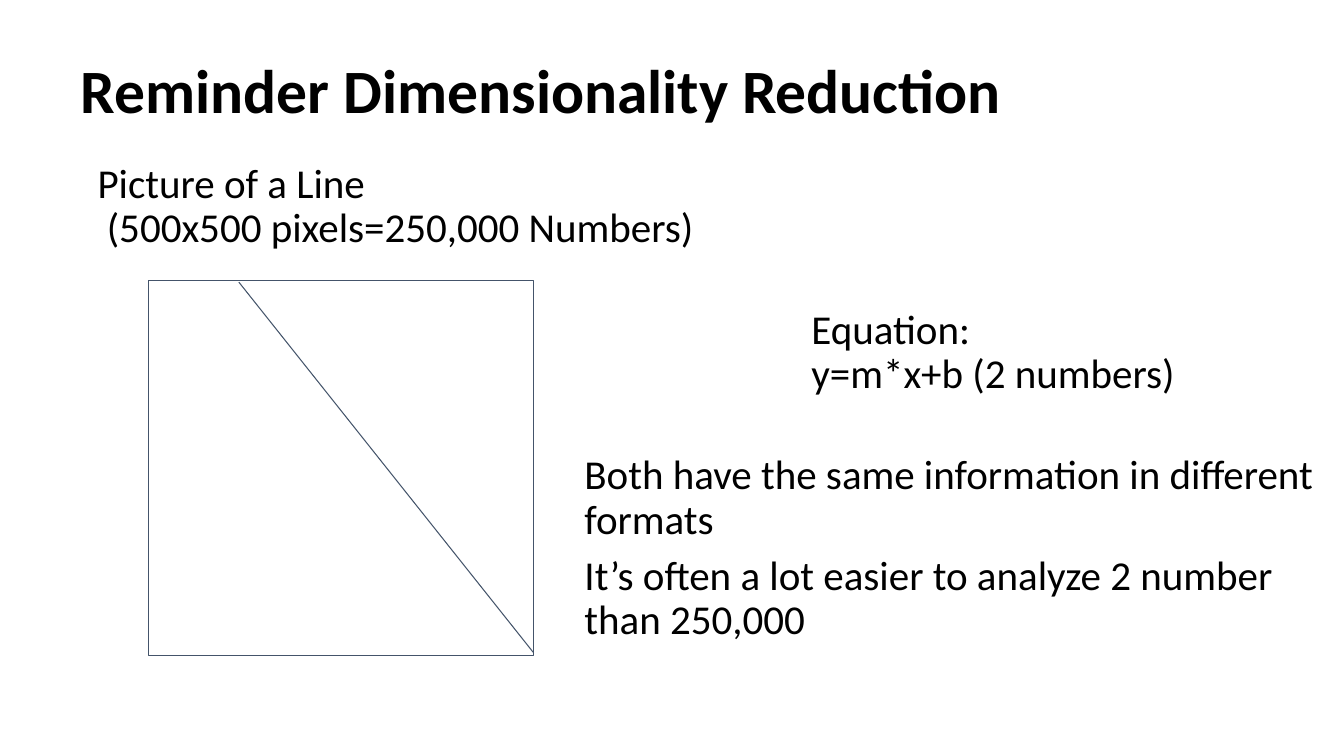
"""Build the slide that recalls dimensionality reduction."""
from dataclasses import dataclass

from lxml import etree
from pptx import Presentation
from pptx.dml.color import RGBColor
from pptx.enum.shapes import MSO_CONNECTOR, MSO_SHAPE
from pptx.enum.text import MSO_ANCHOR
from pptx.oxml.ns import qn
from pptx.util import Cm, Pt

RECT = MSO_SHAPE.RECTANGLE
STRAIGHT = MSO_CONNECTOR.STRAIGHT
TOP = MSO_ANCHOR.TOP
MIDDLE = MSO_ANCHOR.MIDDLE


@dataclass(frozen=True)
class Theme:
    """Hold colours, type sizes and spacing."""
    font: str = "Calibri"
    ink: RGBColor = RGBColor(0, 0, 0)
    paper: RGBColor = RGBColor(255, 255, 255)
    edge: RGBColor = RGBColor(0x44, 0x54, 0x6A)
    title: float = 44
    body: float = 29.3
    gap: float = 8.5
    leading: float = 0.9
    stroke: float = 0.75


class Board:
    """Draw styled elements on one slide."""

    def __init__(self, slide, theme):
        self.slide = slide
        self.theme = theme

    def text(self, words, left, top, width, height, size,
             bold=False, indent=0, anchor=TOP):
        """Add a text box with one paragraph per line of words."""
        theme = self.theme
        box = self.slide.shapes.add_textbox(
            Cm(left), Cm(top), Cm(width), Cm(height))
        frame = box.text_frame
        frame.word_wrap = True
        frame.vertical_anchor = anchor
        frame.margin_left = frame.margin_right = Cm(0.34)
        frame.margin_top = frame.margin_bottom = Cm(0.17)
        frame.text = words
        for index, para in enumerate(frame.paragraphs):
            props = para._p.get_or_add_pPr()
            props.set("marL", str(Cm(indent)))
            props.set("indent", "0")
            para.line_spacing = theme.leading
            para.space_before = Pt(theme.gap if index else 0)
            for run in para.runs:
                run.font.name = theme.font
                run.font.size = Pt(size)
                run.font.bold = bold
                run.font.color.rgb = theme.ink

    def body(self, words, left, top, width, height):
        """Add an indented body text."""
        self.text(words, left, top, width, height, self.theme.body,
                  indent=1.69)

    def outline(self, line):
        """Give a line the edge colour and stroke."""
        line.color.rgb = self.theme.edge
        line.width = Pt(self.theme.stroke)

    def frame(self, left, top, width, height):
        """Add an outlined rectangle."""
        shape = self.slide.shapes.add_shape(
            RECT, Cm(left), Cm(top), Cm(width), Cm(height))
        shape.shadow.inherit = False
        shape.fill.solid()
        shape.fill.fore_color.rgb = self.theme.paper
        self.outline(shape.line)

    def line(self, left, top, right, bottom):
        """Add a straight line."""
        line = self.slide.shapes.add_connector(
            STRAIGHT, Cm(left), Cm(top), Cm(right), Cm(bottom))
        self.outline(line.line)
        etree.SubElement(line._element.spPr, qn("a:effectLst"))


def main():
    """Build and save the slide."""
    deck = Presentation()
    deck.slide_width, deck.slide_height = Cm(33.87), Cm(19.05)
    theme = Theme()
    board = Board(deck.slides.add_slide(deck.slide_layouts[6]), theme)
    board.text("Reminder Dimensionality Reduction", 1.7, 0.76, 30.48, 3.18,
               theme.title, bold=True, anchor=MIDDLE)
    board.body("Picture of a Line\v (500x500 pixels=250,000 Numbers)",
               0.43, 3.94, 20.57, 2.13)
    board.body("Equation:\vy=m*x+b (2 numbers)", 18.42, 7.62, 15.45, 2.9)
    board.body("Both have the same information in different formats\n"
               "It’s often a lot easier to analyze 2 number than 250,000",
               12.7, 11.28, 21.17, 2.9)
    board.frame(3.74, 7.06, 9.7, 9.45)
    board.line(6.02, 7.11, 13.44, 16.44)
    deck.save("out.pptx")


if __name__ == "__main__":
    main()
